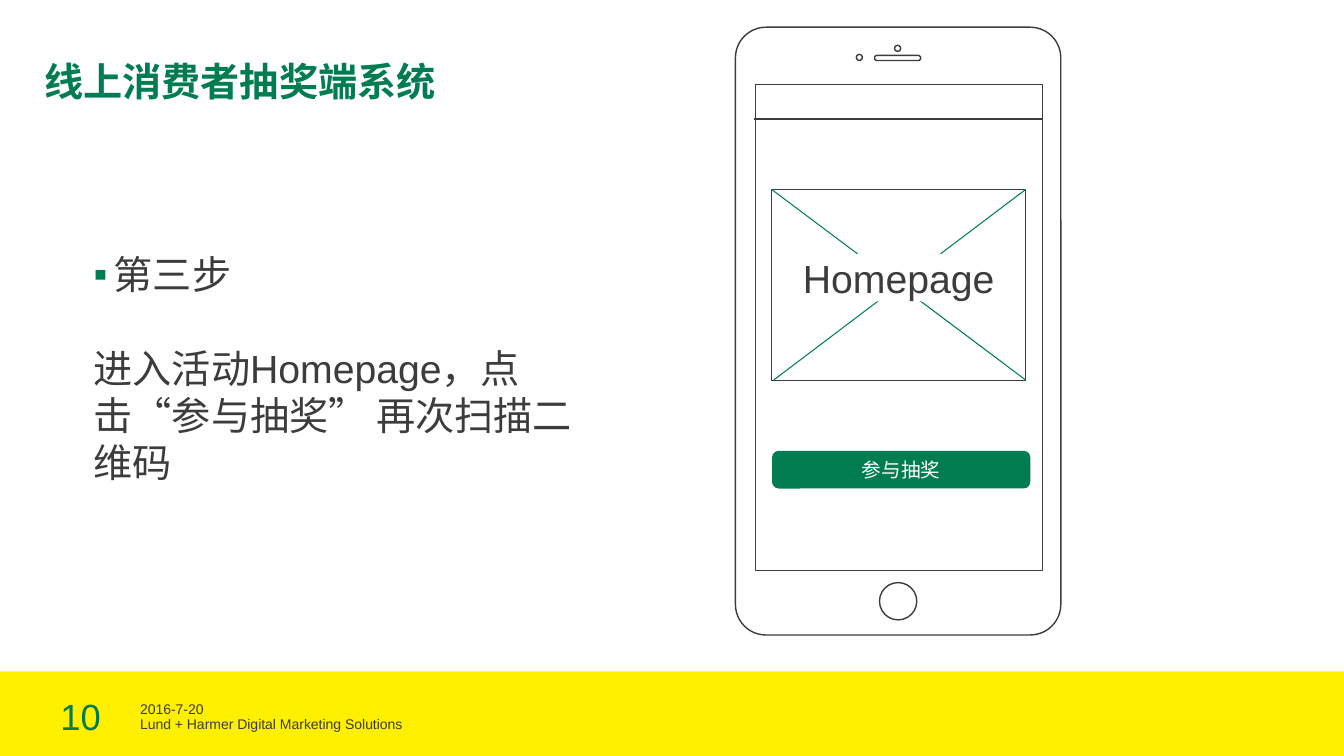
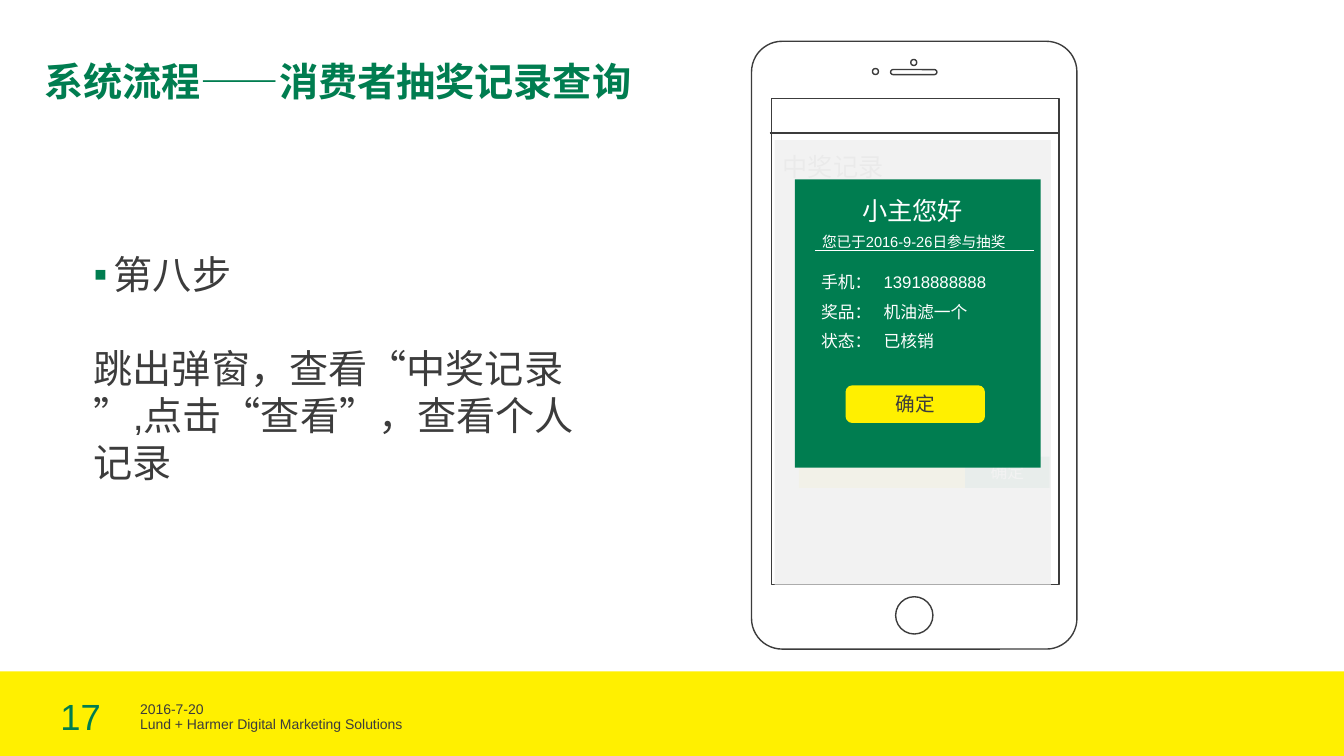
import dataclasses

import lxml.etree
import pptx
import pptx.dml.color
import pptx.enum.shapes
import pptx.enum.text
import pptx.oxml.ns
import pptx.util

SHAPE = pptx.enum.shapes.MSO_SHAPE
ALIGN = pptx.enum.text.PP_ALIGN
ANCHOR = pptx.enum.text.MSO_ANCHOR

# The page is a square grid; every length below counts its columns or rows.
CELL = 0.1
COLUMNS, ROWS = 133.4, 75


@dataclasses.dataclass(frozen=True)
class Theme:
    font: str = "Arial"
    green: str = "007D50"
    yellow: str = "FFF000"
    ink: str = "3C3C3C"
    white: str = "FFFFFF"
    veil: str = "F2F2F2"
    heading: float = 28
    page_number: float = 26
    popup_title: float = 18
    button: float = 14
    detail: float = 12
    small: float = 10.5
    footer: float = 10


THEME = Theme()


def grid(count):
    return pptx.util.Inches(count * CELL)


def rgb(code):
    return pptx.dml.color.RGBColor.from_string(code)


def sub(parent, tag, **attributes):
    return lxml.etree.SubElement(parent, pptx.oxml.ns.qn(tag), **attributes)


class Deck:
    """Holds the theme and the slide being drawn."""

    def __init__(self, theme):
        self.theme = theme
        self.file = pptx.Presentation()
        self.file.slide_width = grid(COLUMNS)
        self.file.slide_height = grid(ROWS)
        self.slide = None

    def run(self, paragraph, words, size, color, bold=False):
        run = paragraph.add_run()
        run.text = words
        run.font.size = pptx.util.Pt(size)
        run.font.bold = bold
        run.font.color.rgb = rgb(color)
        run.font.name = self.theme.font
        run._r.get_or_add_rPr().set("lang", "zh-CN")

    def text(self, at, words, size, color, bold=False, align=ALIGN.LEFT,
             anchor=ANCHOR.TOP):
        """A text box without insets; returns its first paragraph."""
        frame = self.slide.shapes.add_textbox(*map(grid, at)).text_frame
        frame.word_wrap = True
        frame.vertical_anchor = anchor
        frame.margin_left = frame.margin_right = 0
        frame.margin_top = frame.margin_bottom = 0
        paragraph = frame.paragraphs[0]
        paragraph.alignment = align
        self.run(paragraph, words, size, color, bold)
        return paragraph

    def shape(self, kind, at, fill=None, line=None, width=1.0, corner=None, alpha=None):
        shape = self.slide.shapes.add_shape(kind, *map(grid, at))
        shape.shadow.inherit = False
        if corner is not None:
            shape.adjustments[0] = corner
        if fill:
            shape.fill.solid()
            shape.fill.fore_color.rgb = rgb(fill)
        else:
            shape.fill.background()
        if alpha:
            color = shape.fill._xPr.find(".//" + pptx.oxml.ns.qn("a:srgbClr"))
            sub(color, "a:alpha", val=str(alpha * 1000))
        if line:
            shape.line.color.rgb = rgb(line)
            shape.line.width = pptx.util.Pt(width)
        else:
            shape.line.fill.background()
        return shape

    def label(self, shape, words, size, color):
        shape.text_frame.vertical_anchor = ANCHOR.MIDDLE
        paragraph = shape.text_frame.paragraphs[0]
        paragraph.alignment = ALIGN.CENTER
        self.run(paragraph, words, size, color)

    def line(self, x1, y1, x2, y2, color, width=0.75):
        line = self.slide.shapes.add_connector(
            pptx.enum.shapes.MSO_CONNECTOR.STRAIGHT, *map(grid, (x1, y1, x2, y2)))
        line.line.color.rgb = rgb(color)
        line.line.width = pptx.util.Pt(width)
        sub(line._element.spPr, "a:effectLst")

    def page(self, number, title):
        """A new slide with the shared title and footer."""
        theme = self.theme
        self.slide = self.file.slides.add_slide(self.file.slide_layouts[6])
        self.shape(SHAPE.RECTANGLE, (0, 66.6, COLUMNS, 8.4), theme.yellow)
        self.text((6, 69.4, 7.9, 3.8), str(number), theme.page_number, theme.green,
                  anchor=ANCHOR.BOTTOM)
        self.text((13.9, 69.5, 28.4, 1.6), "2016-7-20", theme.footer, theme.ink,
                  anchor=ANCHOR.MIDDLE)
        self.text((13.9, 71, 70.1, 1.6), "Lund + Harmer Digital Marketing Solutions",
                  theme.footer, theme.ink)
        self.text((4.4, 5.7, 93.8, 4.7), title, theme.heading, theme.green, bold=True)

    def step(self, width, name, *sentences):
        """A bulleted step name, then its description one line lower."""
        theme = self.theme
        heading = self.text((9.3, 24.8, width, 18.8), name, theme.heading, theme.ink)
        properties = heading._p.get_or_add_pPr()
        properties.set("marL", str(grid(2)))
        properties.set("indent", str(grid(-2)))
        sub(sub(properties, "a:buClr"), "a:srgbClr", val=theme.green)
        sub(properties, "a:buFont", typeface=theme.font)
        sub(properties, "a:buChar", char="▪")
        for index, sentence in enumerate(sentences):
            paragraph = heading._parent.add_paragraph()
            if index == 0:
                paragraph.space_before = pptx.util.Pt(33.6)
            self.run(paragraph, sentence, theme.heading, theme.ink)

    def phone(self, x, y):
        """A handset outline with its top left corner at x, y."""
        ink = self.theme.ink
        parts = [
            (SHAPE.ROUNDED_RECTANGLE, 0, 0, 32.3, 60.3, 0.094),  # body
            (SHAPE.RECTANGLE, 2, 5.7, 28.5, 48.2, None),  # screen
            (SHAPE.OVAL, 14.3, 55.1, 3.7, 3.7, None),  # home button
            (SHAPE.ROUNDED_RECTANGLE, 13.8, 2.8, 4.6, 0.5, 0.5),  # speaker
            (SHAPE.OVAL, 12, 2.7, 0.6, 0.6, None),  # sensor
            (SHAPE.OVAL, 15.8, 1.8, 0.6, 0.6, None),  # camera
        ]
        for kind, dx, dy, width, height, corner in parts:
            self.shape(kind, (x + dx, y + dy, width, height), line=ink, corner=corner)
        self.line(x + 1.8, y + 9.1, x + 30.4, y + 9.1, ink, 2)

    def image_frame(self, x, y, width, height, words):
        """A crossed box with a caption over the crossing."""
        theme = self.theme
        self.shape(SHAPE.RECTANGLE, (x, y, width, height), theme.white, theme.ink, 0.5)
        self.line(x, y, x + width, y + height, theme.green)
        self.line(x + width, y, x + 0.2, y + height, theme.green)
        caption = self.shape(SHAPE.RECTANGLE, (x + 1.3, y + 6.4, 22.6, 4.7), theme.white)
        self.label(caption, words, theme.heading, theme.ink)

    def button(self, at, words, fill, color):
        button = self.shape(SHAPE.ROUNDED_RECTANGLE, at, fill, fill)
        self.label(button, words, self.theme.button, color)

    def detail(self, at, name, value):
        """A name and its value, set apart by a tab stop."""
        theme = self.theme
        row = self.text(at, f"{name}\t{value}", theme.detail, theme.white)
        stops = sub(row._p.get_or_add_pPr(), "a:tabLst")
        sub(stops, "a:tab", pos=str(grid(6.2)), algn="l")


def homepage(deck):
    theme = deck.theme
    deck.page(10, "线上消费者抽奖端系统")
    deck.step(49.5, "第三步", "进入活动Homepage，点击“参与抽奖” 再次扫描二维码")
    deck.phone(73, 2.7)
    deck.button((76.7, 44.8, 25.5, 3.6), "参与抽奖", theme.green, theme.white)
    deck.image_frame(76.6, 18.8, 25.2, 18.9, "Homepage")


def prize_record(deck):
    theme = deck.theme
    deck.page(17, "系统流程——消费者抽奖记录查询")
    deck.step(48.7, "第八步", "跳出弹窗，查看“中奖记录", "”,点击“查看”，查看个人记录")
    deck.phone(74.6, 4.1)

    # Dimmed screen behind the popup
    deck.text((77.7, 15, 22.4, 3.1), "中奖记录", theme.popup_title, theme.ink)
    deck.shape(SHAPE.RECTANGLE, (79.3, 45.3, 16.9, 3.1), theme.yellow)
    confirm = deck.shape(SHAPE.RECTANGLE, (95.8, 45.3, 8.4, 3.1), theme.green)
    deck.label(confirm, "确定", theme.detail, theme.white)
    deck.shape(SHAPE.RECTANGLE, (76.9, 13.9, 27.4, 44.1), theme.veil, alpha=96)

    # Popup
    deck.shape(SHAPE.RECTANGLE, (78.9, 17.8, 24.4, 28.6), theme.green)
    deck.text((84.3, 19.4, 12.6, 3), "小主您好", theme.popup_title, theme.white,
              align=ALIGN.CENTER)
    deck.line(80.9, 24.9, 102.6, 24.9, theme.white)
    deck.text((81.6, 23.1, 19.9, 1.8), "您已于2016-9-26日参与抽奖", theme.small, theme.white)
    details = [("手机：", "13918888888"), ("奖品：", "机油滤一个"), ("状态：", "已核销")]
    for row, (name, value) in enumerate(details):
        deck.detail((81.5, 27 + 2.9 * row, 19.1, 2), name, value)
    deck.button((84, 38.3, 13.7, 3.6), "确定", theme.yellow, theme.ink)


def main():
    deck = Deck(THEME)
    homepage(deck)
    prize_record(deck)
    deck.file.save("out.pptx")


if __name__ == "__main__":
    main()
